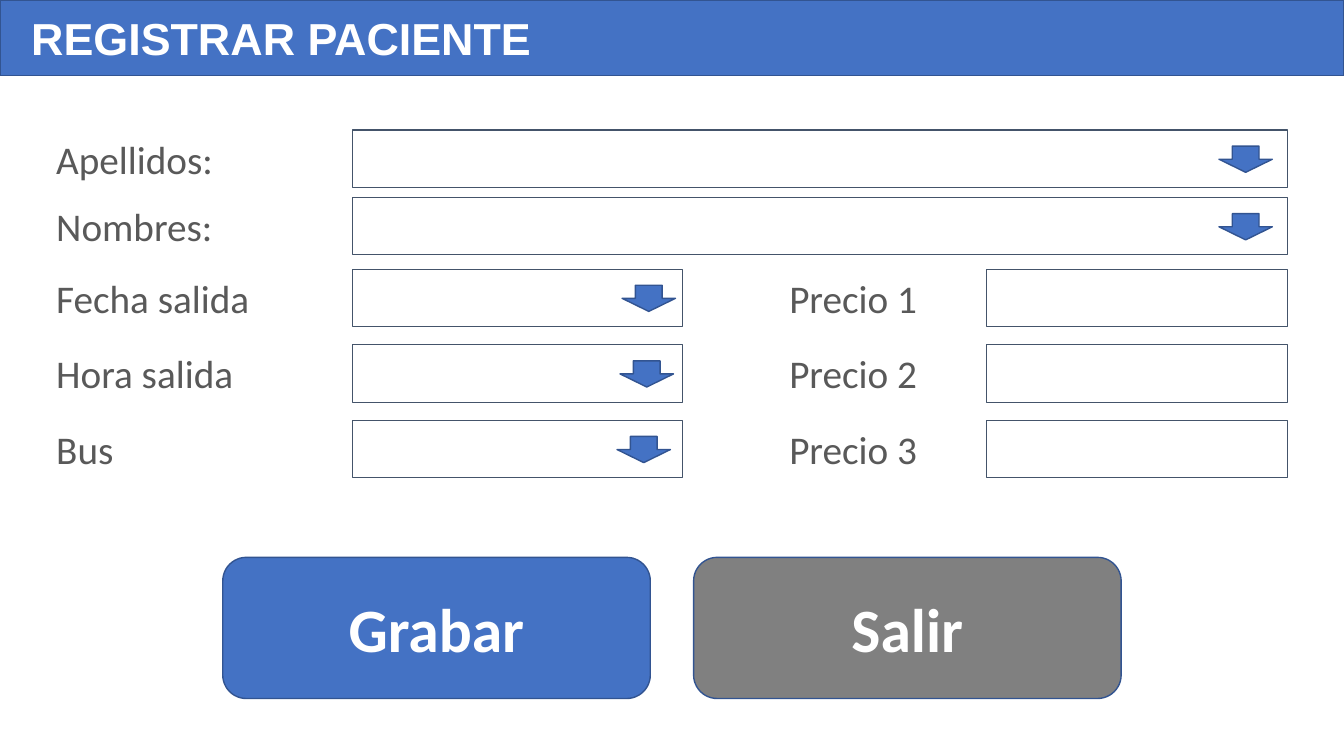
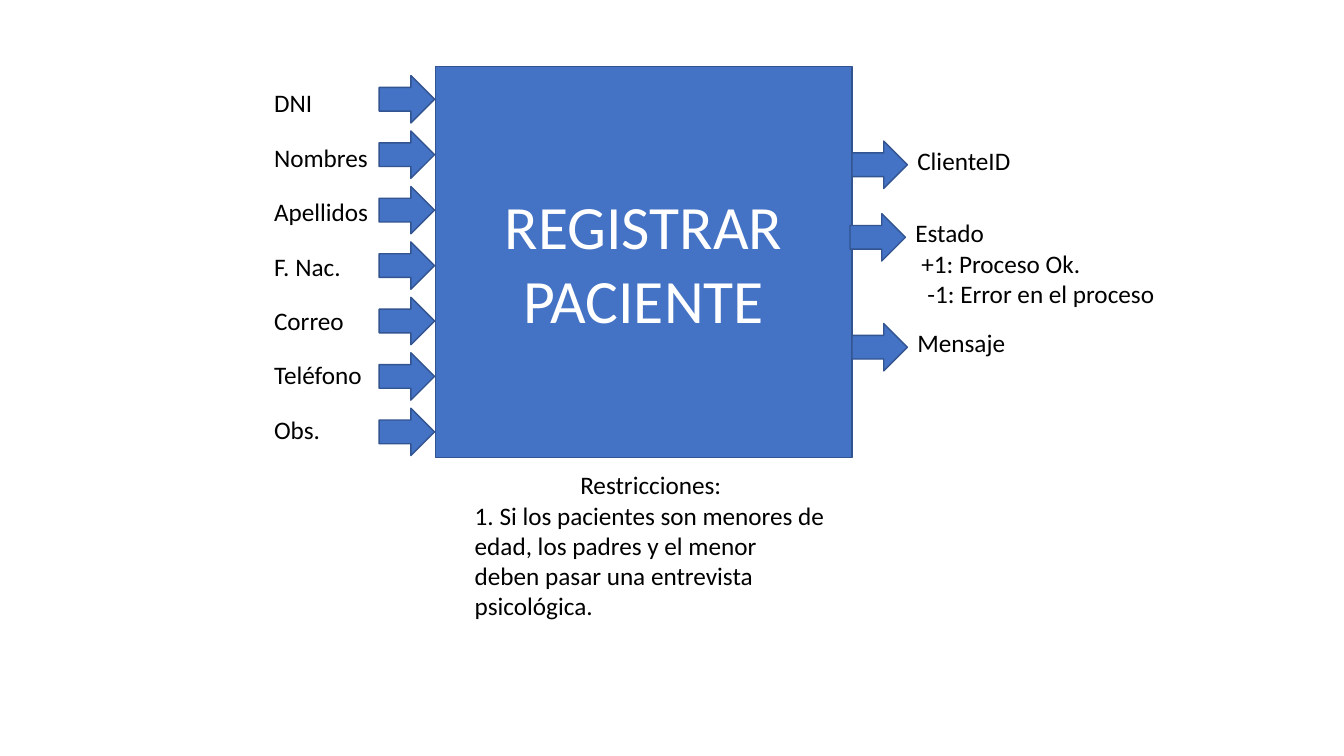
from pptx import Presentation
from pptx.dml.color import RGBColor
from pptx.enum.shapes import MSO_SHAPE
from pptx.enum.text import MSO_ANCHOR, MSO_AUTO_SIZE, PP_ALIGN
from pptx.util import Pt

PX = 9144
WIDE, HIGH = 1333, 750
HUES = {
    "blue": "4472C4", "edge": "325491", "grey": "808080", "slate": "44546A",
    "label": "595959", "white": "FFFFFF", "black": "000000",
}


def hue(name):
    """Return the colour of a palette name."""
    return RGBColor.from_string(HUES[name])


def span(*sizes):
    """Turn px lengths into EMU."""
    return [size * PX for size in sizes]


def paint(shape, fill="blue", edge="edge", width=1):
    """Set the fill and line of a shape; no fill when fill is None."""
    if fill:
        shape.fill.solid()
        shape.fill.fore_color.rgb = hue(fill)
    else:
        shape.fill.background()
    shape.line.color.rgb = hue(edge)
    shape.line.width = Pt(width)


def write(shape, text, size=18, color="black", font="Calibri", bold=False,
          align=PP_ALIGN.LEFT, anchor=MSO_ANCHOR.TOP, inset=10):
    """Put formatted text in a shape, one paragraph a line."""
    frame = shape.text_frame
    frame.text = text
    frame.word_wrap = True
    frame.auto_size = MSO_AUTO_SIZE.NONE
    frame.vertical_anchor = anchor
    frame.margin_left = inset * PX
    for para in frame.paragraphs:
        para.alignment = align
        for run in para.runs:
            run.font.size, run.font.name = Pt(size), font
            run.font.bold, run.font.color.rgb = bold, hue(color)
    return frame


def draw(slide, kind, box, **look):
    """Add a painted preset shape."""
    shape = slide.shapes.add_shape(kind, *span(*box))
    shape.shadow.inherit = False
    paint(shape, **look)
    return shape


def label(slide, box, text, **form):
    """Add a text box."""
    return write(slide.shapes.add_textbox(*span(*box)), text, **form)


def head(slide, box, text, **form):
    """Place the title placeholder as a filled box."""
    title = slide.shapes.title
    title.left, title.top, title.width, title.height = span(*box)
    paint(title)
    write(title, text, color="white", anchor=MSO_ANCHOR.MIDDLE, **form)


def field(slide, box, gap=None):
    """Draw an input box, with a drop arrow when gap is given."""
    draw(slide, MSO_SHAPE.RECTANGLE, box, fill=None, edge="slate", width=0.75)
    if gap is not None:
        x, y, w, h = box
        arrow = (x + w - gap - 53, y + 16, 53, 26)
        draw(slide, MSO_SHAPE.DOWN_ARROW, arrow)


def row(slide, box, text, inner, gap=None):
    """Draw a label and its field, inner px from the left of the box."""
    x, y, w, h = box
    label(slide, (x, y, inner - 4, h), text, size=28, color="label")
    field(slide, (x + inner, y, w - inner, h), gap)


def button(slide, box, text, fill):
    """Draw a rounded button."""
    shape = draw(slide, MSO_SHAPE.ROUNDED_RECTANGLE, box, fill=fill)
    write(shape, text, size=44, color="white", bold=True,
          align=PP_ALIGN.CENTER, anchor=MSO_ANCHOR.MIDDLE)


def form(slide):
    """Build the patient entry form."""
    head(slide, (0, 0, WIDE, 75), "REGISTRAR PACIENTE", size=32,
         font="Arial", bold=True, inset=31)
    for i, text in enumerate(("Apellidos:", "Nombres:")):
        row(slide, (46, 129 + 67 * i, 1231, 57), text, 304, 15)
    pairs = (("Fecha salida", 7), ("Hora salida", 9), ("Bus", 12))
    for i, (text, gap) in enumerate(pairs):
        y = 267 + 75 * i
        row(slide, (46, y, 631, 57), text, 304, gap)
        row(slide, (773, y, 504, 57), f"Precio {i + 1}", 205)
    for i, (text, fill) in enumerate((("Grabar", "blue"), ("Salir", "grey"))):
        button(slide, (221 + 467 * i, 553, 424, 140), text, fill)


def inputs(slide, box):
    """Draw the named inputs left of the process box."""
    x, y, w, h = box
    names = ("DNI", "Nombres", "Apellidos", "F. Nac.", "Correo",
             "Teléfono", "Obs.")
    for i, name in enumerate(names):
        arrow = (x - 56, y + 9 + 55 * i, 55, 47)
        draw(slide, MSO_SHAPE.RIGHT_ARROW, arrow)
        label(slide, (x - 170, y + 16 + 54 * i, 120, 40), name)


def outputs(slide, box):
    """Draw the named outputs right of the process box."""
    x, y, w, h = box
    state = "Estado\n+1: Proceso Ok.\n-1: Error en el proceso"
    items = ((0, 74, "ClienteID"), (-2, 146, state), (0, 255, "Mensaje"))
    for shift, drop, text in items:
        left, top = x + w + shift, y + drop
        draw(slide, MSO_SHAPE.RIGHT_ARROW, (left, top, 55, 47))
        lines = text.count("\n") + 1
        frame = label(slide, (left + 55, top - 1, 270, 10 + 30 * lines), text)
        for i, para in enumerate(frame.paragraphs[1:], 1):
            para._p.get_or_add_pPr().set("marL", str(6 * i * PX))


def flow(slide):
    """Build the process diagram with its inputs and outputs."""
    box = (432, 66, 413, 388)
    head(slide, box, "REGISTRAR\nPACIENTE", size=44, align=PP_ALIGN.CENTER)
    inputs(slide, box)
    outputs(slide, box)
    rules = label(slide, (461, 461, 369, 162),
                  "Restricciones:\n1. Si los pacientes son menores de edad, "
                  "los padres y el menor deben pasar una entrevista "
                  "psicológica.")
    rules.paragraphs[0].alignment = PP_ALIGN.CENTER


def main():
    """Build and save the deck."""
    deck = Presentation()
    deck.slide_width, deck.slide_height = span(WIDE, HIGH)
    for build in (form, flow):
        build(deck.slides.add_slide(deck.slide_layouts[5]))
    deck.save("out.pptx")


if __name__ == "__main__":
    main()
